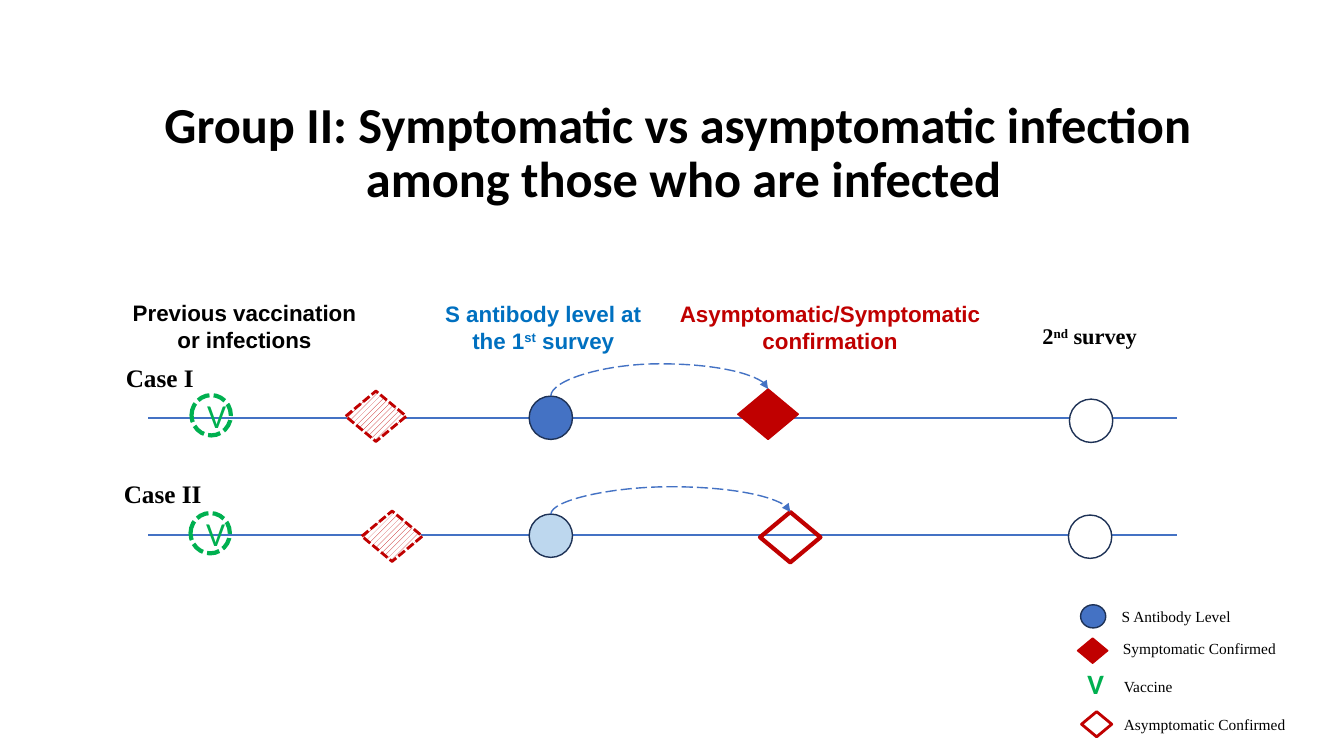
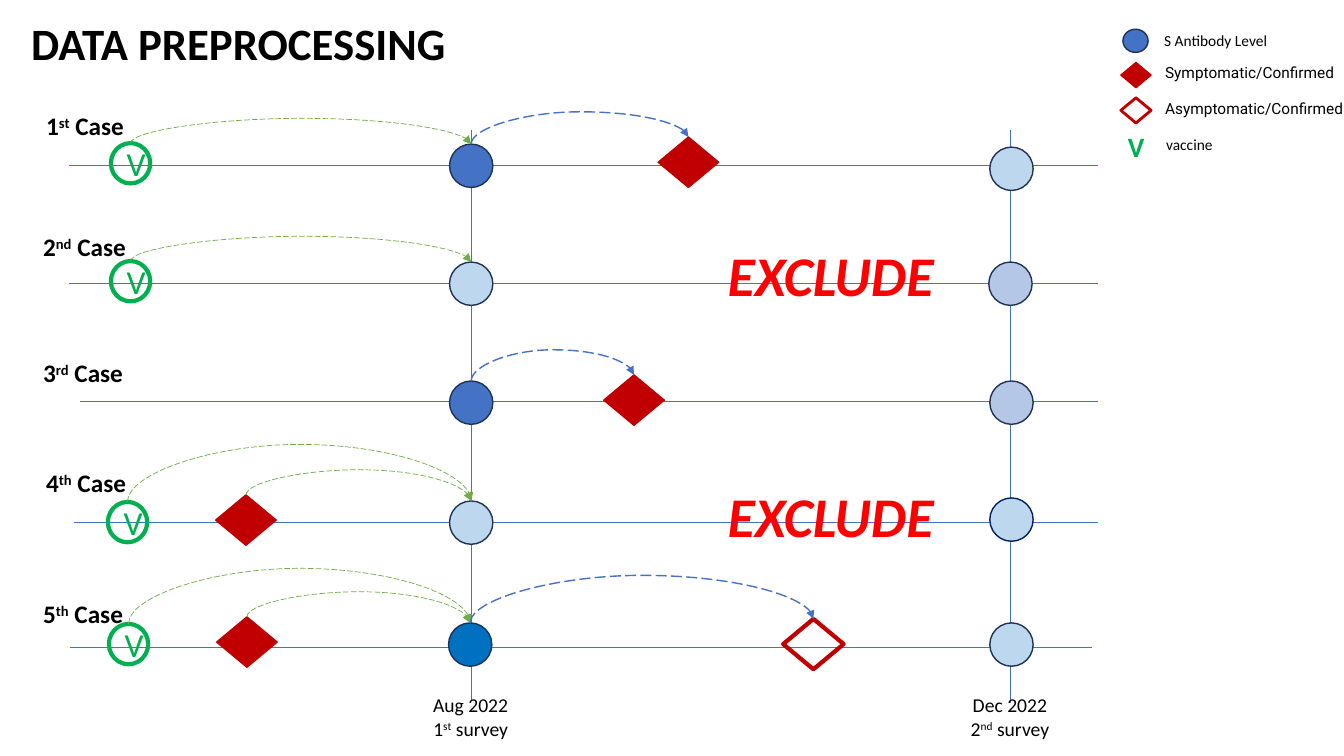
from lxml.etree import SubElement
from pptx import Presentation
from pptx.dml.color import RGBColor
from pptx.enum.dml import MSO_LINE, MSO_PATTERN
from pptx.enum.shapes import MSO_CONNECTOR, MSO_SHAPE
from pptx.enum.text import MSO_ANCHOR, MSO_AUTO_SIZE, PP_ALIGN
from pptx.oxml.ns import qn
from pptx.util import Pt

PX = 9144  # 100 px to the inch
BLACK, WHITE, RED, BRIGHT_RED = "000000", "FFFFFF", "C00000", "FF0000"
BLUE, STRONG_BLUE, PALE_BLUE, SOFT_BLUE = "4472C4", "0070C0", "BDD7EE", "B4C7E7"
NAVY, DEEP_NAVY, GREEN, ARC_GREEN = "1E3256", "002060", "00B050", "70AD47"
SERIF, SANS, ARIAL, ROBOTO = "Times New Roman", "Calibri", "Arial", "Roboto"
HATCH = "hatch"

# Marker kinds: outline, width, height, fill, line colour, line width, dashed
MARKERS = {
    "level": (MSO_SHAPE.OVAL, 43, 43, BLUE, NAVY, 1, False),
    "level strong": (MSO_SHAPE.OVAL, 43, 43, STRONG_BLUE, NAVY, 1, False),
    "level pale": (MSO_SHAPE.OVAL, 43, 43, PALE_BLUE, NAVY, 1, False),
    "level pale navy": (MSO_SHAPE.OVAL, 43, 43, PALE_BLUE, DEEP_NAVY, 1, False),
    "level soft": (MSO_SHAPE.OVAL, 43, 43, SOFT_BLUE, NAVY, 1, False),
    "level blank": (MSO_SHAPE.OVAL, 43, 43, WHITE, NAVY, 1, False),
    "symptomatic": (MSO_SHAPE.DIAMOND, 60, 50, RED, RED, 1, False),
    "asymptomatic": (MSO_SHAPE.DIAMOND, 60, 50, None, RED, 3, False),
    "past infection": (MSO_SHAPE.DIAMOND, 60, 50, HATCH, RED, 2, True),
    "vaccine": (MSO_SHAPE.OVAL, 39, 40, None, GREEN, 3, False),
    "past vaccine": (MSO_SHAPE.OVAL, 39, 40, None, GREEN, 3, True),
    "key level": (MSO_SHAPE.OVAL, 25, 23, BLUE, NAVY, 1, False),
    "key symptomatic": (MSO_SHAPE.DIAMOND, 30, 25, RED, RED, 1, False),
    "key asymptomatic": (MSO_SHAPE.DIAMOND, 30, 25, WHITE, RED, 2, False),
}
# Arc kinds: colour, line width
ARCS = {"outcome": (BLUE, 1), "history": (ARC_GREEN, 0.5)}

# Text: words (^ around superscripts), x, y, width, height, font, size, colour
GROUP_HEADINGS = [
    ("Previous vaccination or infections", 118, 292, 249, 64, ARIAL, 16, BLACK),
    ("S antibody level at the 1^st^ survey", 421, 293, 236, 64, ARIAL, 16, STRONG_BLUE),
    ("Asymptomatic/Symptomatic confirmation", 639, 293, 369, 64, ARIAL, 16, RED),
    ("2^nd^ survey", 989, 315, 184, 37, SERIF, 16, BLACK),
]
# Cases: label, label place, timeline (x1, x2, y), markers, arcs (from, to, lift, kind)
GROUP_CASES = [
    ("Case I", 115, 355, (147, 1168, 415),
     [("past vaccine", 190, 392), ("past infection", 343, 388), ("level", 525, 393),
      ("symptomatic", 732, 386), ("level blank", 1061, 396)],
     [(2, 3, 25, "outcome")]),
    ("Case II", 113, 470, (147, 1168, 531),
     [("past vaccine", 189, 509), ("past infection", 359, 507), ("level pale", 525, 510),
      ("asymptomatic", 754, 508), ("level blank", 1060, 511)],
     [(2, 3, 25, "outcome")]),
]
PREP_CASES = [
    ("1^st^ Case", 36, 105, (68, 1089, 164),
     [("vaccine", 110, 142), ("level", 446, 143), ("symptomatic", 653, 136),
      ("level pale", 982, 146)],
     [(0, 1, 25, "history"), (1, 2, 25, "outcome")]),
    ("2^nd^ Case", 33, 225, (68, 1089, 281),
     [("vaccine", 110, 259), ("level pale", 446, 260), ("level soft", 981, 260)],
     [(0, 1, 25, "history")]),
    ("3^rd^ Case", 33, 350, (79, 1089, 398),
     [("level", 446, 378), ("symptomatic", 599, 372), ("level soft", 982, 378)],
     [(0, 1, 25, "outcome")]),
    ("4^th^ Case", 36, 459, (73, 1089, 518),
     [("vaccine", 107, 498), ("symptomatic", 214, 491), ("level pale", 446, 497),
      ("level pale navy", 982, 494)],
     [(0, 2, 57, "history"), (1, 2, 25, "history")]),
    ("5^th^ Case", 33, 589, (69, 1083, 642),
     [("vaccine", 108, 619), ("symptomatic", 215, 612), ("level strong", 445, 618),
      ("asymptomatic", 777, 614), ("level pale", 982, 618)],
     [(0, 2, 55, "history"), (1, 2, 25, "history"), (2, 3, 43, "outcome")]),
]
# Surveys: line x, line bottom, caption x, caption lines
SURVEYS = [
    (468, 694, 375, ["Aug 2022", "1^st^ survey"]),
    (1002, 697, 910, ["Dec 2022", "2^nd^ survey"]),
]
EXCLUDED_TOPS = [234, 473]
# Legends: symbol, symbol place, label, label place, font
GROUP_LEGEND = [
    ("key level", 1072, 600, "S Antibody Level", 1103, 597, SERIF),
    ("key symptomatic", 1069, 633, "Symptomatic Confirmed", 1104, 629, SERIF),
    ("V", 1069, 656, "Vaccine", 1105, 667, SERIF),
    ("key asymptomatic", 1073, 706, "Asymptomatic Confirmed", 1105, 704, SERIF),
]
PREP_LEGEND = [
    ("key level", 1114, 29, "S Antibody Level", 1145, 26, SANS),
    ("key symptomatic", 1112, 62, "Symptomatic/Confirmed", 1146, 58, ROBOTO),
    ("key asymptomatic", 1112, 97, "Asymptomatic/Confirmed", 1146, 93, ROBOTO),
    ("V", 1109, 124, "vaccine", 1147, 129, SANS),
]


def px(*lengths):
    return [round(length * PX) for length in lengths]


def rgb(color):
    return RGBColor.from_string(color)


def write(frame, lines, font, size, color, bold=False, italic=False,
          align=PP_ALIGN.LEFT, spacing=None):
    frame.word_wrap = True
    for i, line in enumerate(lines):
        paragraph = frame.add_paragraph() if i else frame.paragraphs[0]
        paragraph.alignment = align
        if spacing:
            paragraph.line_spacing = spacing
        for j, words in enumerate(line.split("^")):
            run = paragraph.add_run()
            run.text = words
            run.font.name, run.font.size = font, Pt(size)
            run.font.bold, run.font.italic = bold, italic
            run.font.color.rgb = rgb(color)
            if j % 2:
                run._r.get_or_add_rPr().set("baseline", "30000")


def add_text(slide, lines, x, y, w, h, *style, **options):
    box = slide.shapes.add_textbox(*px(x, y, w, h))
    write(box.text_frame, lines, *style, **options)


def add_titled_slide(deck, lines, place, size, align):
    slide = deck.slides.add_slide(deck.slide_layouts[5])
    title = slide.shapes.title
    title.left, title.top, title.width, title.height = px(*place)
    title.text_frame.auto_size = MSO_AUTO_SIZE.NONE
    title.text_frame.vertical_anchor = MSO_ANCHOR.TOP
    write(title.text_frame, lines, SANS, size, BLACK, bold=True, align=align, spacing=0.9)
    return slide


def add_line(slide, x1, y1, x2, y2, color, width, kind=MSO_CONNECTOR.STRAIGHT):
    line = slide.shapes.add_connector(kind, *px(x1, y1, x2, y2))
    line.line.color.rgb = rgb(color)
    line.line.width = Pt(width)
    SubElement(line._element.spPr, qn("a:effectLst"))
    return line


def add_marker(slide, kind, x, y):
    outline, w, h, fill, color, width, dashed = MARKERS[kind]
    marker = slide.shapes.add_shape(outline, *px(x, y, w, h))
    marker.shadow.inherit = False
    if fill is None:
        marker.fill.background()
    elif fill == HATCH:
        marker.fill.patterned()
        marker.fill.pattern = MSO_PATTERN.WIDE_UPWARD_DIAGONAL
        marker.fill.fore_color.rgb, marker.fill.back_color.rgb = rgb(RED), rgb(WHITE)
    else:
        marker.fill.solid()
        marker.fill.fore_color.rgb = rgb(fill)
    marker.line.color.rgb = rgb(color)
    marker.line.width = Pt(width)
    if dashed:
        marker.line.dash_style = MSO_LINE.SQUARE_DOT
    if kind.endswith("vaccine"):
        marker.text_frame.vertical_anchor = MSO_ANCHOR.MIDDLE
        write(marker.text_frame, ["V"], SANS, 24, GREEN, align=PP_ALIGN.CENTER)
    return marker


def add_arc(slide, start, end, lift, kind):
    """Dashed arrow from top to top, rising lift px above the higher one."""
    arc = add_line(slide, 0, 0, 1, 1, *ARCS[kind], kind=MSO_CONNECTOR.CURVE)
    arc.begin_connect(start, 0)
    arc.end_connect(end, 0)
    arc.line.dash_style = MSO_LINE.LONG_DASH
    SubElement(arc.line._get_or_add_ln(), qn("a:tailEnd"), type="triangle")

    # The preset curve runs sideways, so its box is turned a quarter
    x1, x2 = start.left + start.width // 2, end.left + end.width // 2
    y1, y2 = start.top, end.top
    rise, span = max(abs(y2 - y1), PX), x2 - x1
    climbs = y2 < y1
    arc.left, arc.top = (x1 + x2 - rise) // 2, (y1 + y2 - span) // 2
    arc.width, arc.height = rise, span
    xfrm = arc._element.spPr.find(qn("a:xfrm"))
    xfrm.set("rot", str((90 if climbs else 270) * 60000))
    xfrm.set("flipH", "1")
    xfrm.set("flipV", "1" if climbs else "0")
    climb = y1 - (min(y1, y2) - lift * PX)
    bend = round(climb / rise * 100000) * (1 if climbs else -1)
    guides = arc._element.spPr.find(qn("a:prstGeom")).get_or_add_avLst()
    SubElement(guides, qn("a:gd"), name="adj1", fmla=f"val {bend}")


def add_cases(slide, cases, font, color, width):
    for _, _, _, (x1, x2, y), _, _ in cases:
        add_line(slide, x1, y, x2, y, color, width)
    for label, x, y, _, markers, arcs in cases:
        drawn = [add_marker(slide, *marker) for marker in markers]
        for start, end, lift, kind in arcs:
            add_arc(slide, drawn[start], drawn[end], lift, kind)
        add_text(slide, [label], x, y, 264, 40, font, 18, BLACK, bold=True)


def add_legend(slide, entries):
    for symbol, x, y, label, label_x, label_y, font in entries:
        if symbol == "V":
            add_text(slide, [symbol], x, y, 60, 44, SANS, 20, GREEN, bold=True)
        else:
            add_marker(slide, symbol, x, y)
        add_text(slide, [label], label_x, label_y, 205, 29, font, 11, BLACK)


def build_group(deck):
    slide = add_titled_slide(
        deck, ["Group II: Symptomatic vs asymptomatic infection ",
               "among those who are infected"],
        (16, 94, 1325, 176), 36, PP_ALIGN.CENTER)
    add_cases(slide, GROUP_CASES, SERIF, BLUE, 1.5)
    for words, *place_and_style in GROUP_HEADINGS:
        add_text(slide, [words], *place_and_style, bold=True, align=PP_ALIGN.CENTER)
    add_legend(slide, GROUP_LEGEND)


def build_preprocessing(deck):
    slide = add_titled_slide(deck, ["DATA PREPROCESSING"], (21, 17, 1150, 145), 32,
                             PP_ALIGN.LEFT)
    for x, bottom, caption_x, caption in SURVEYS:
        add_line(slide, x, 129, x, bottom, BLUE, 0.5)
        add_text(slide, caption, caption_x, 683, 184, 57, SANS, 14, BLACK,
                 align=PP_ALIGN.CENTER)
    add_cases(slide, PREP_CASES, SANS, BLUE, 0.5)
    for top in EXCLUDED_TOPS:
        add_text(slide, ["EXCLUDE"], 712, top, 274, 77, SANS, 40, BRIGHT_RED,
                 bold=True, italic=True)
    add_legend(slide, PREP_LEGEND)


def main():
    deck = Presentation()
    deck.slide_width, deck.slide_height = px(1333.33, 750)
    build_group(deck)
    build_preprocessing(deck)
    deck.save("out.pptx")


if __name__ == "__main__":
    main()
